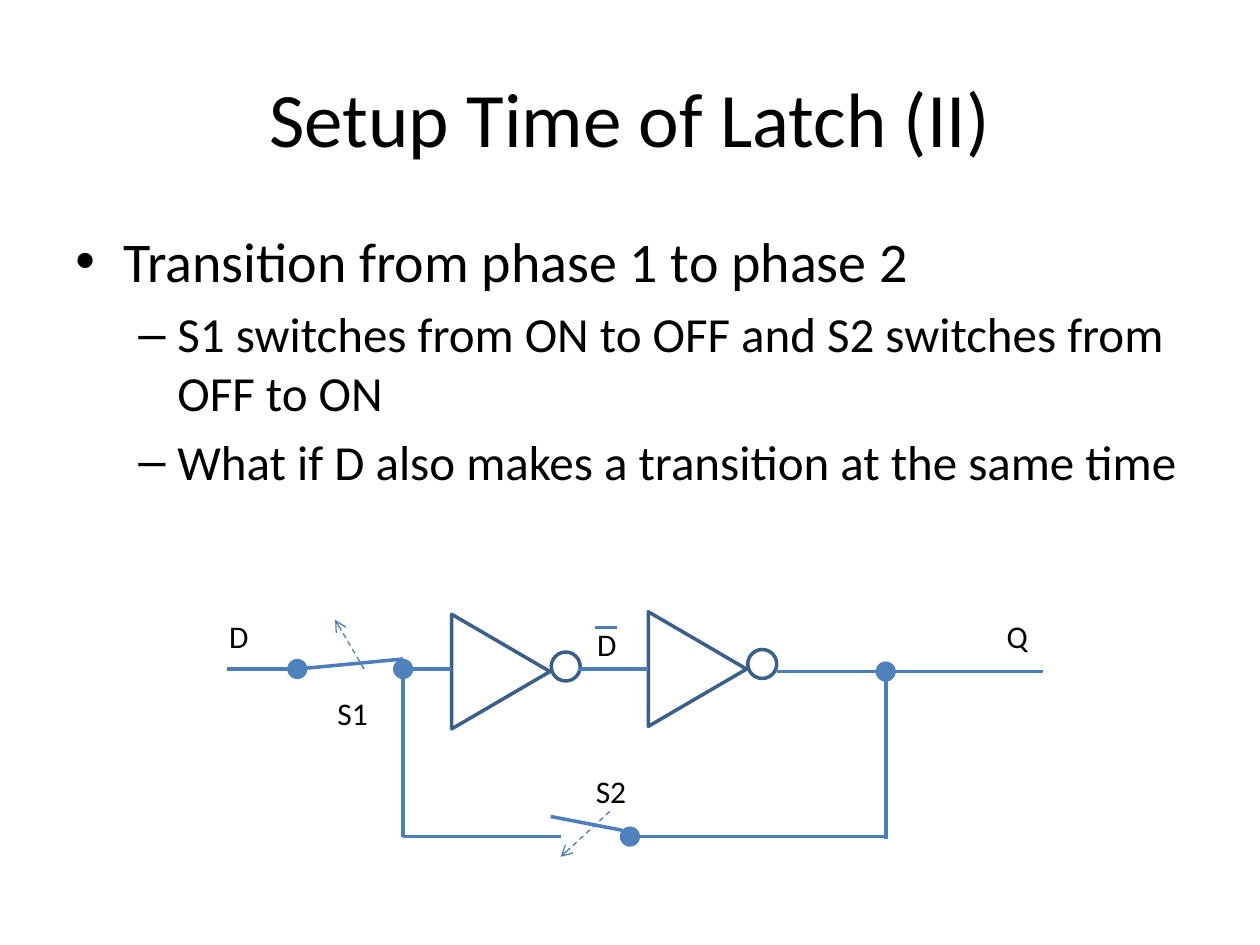
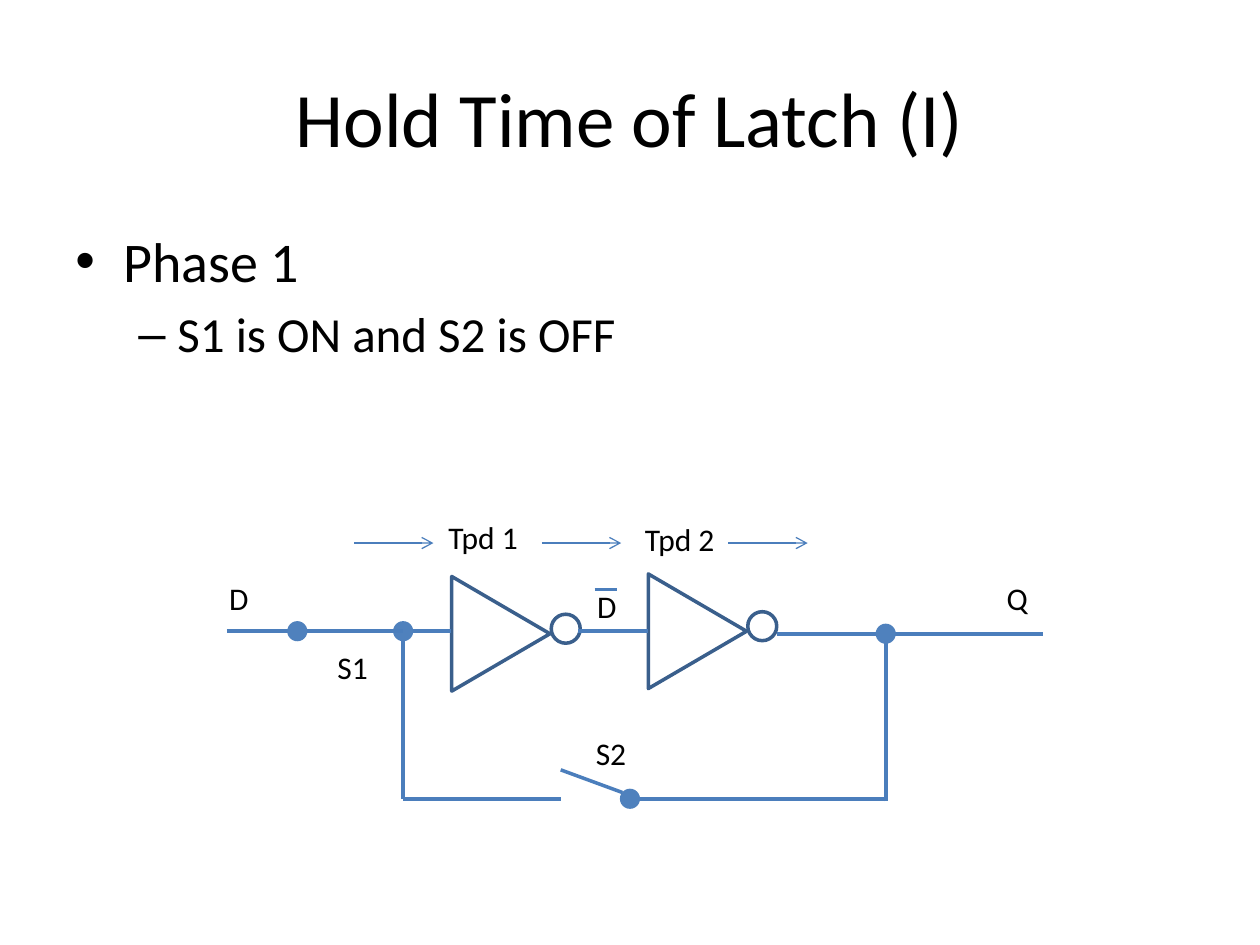
"""Build two slides on latch timing."""
import pptx
import pptx.dml.color
import pptx.enum.dml
import pptx.enum.shapes
import pptx.enum.text
import pptx.oxml
import pptx.oxml.ns
import pptx.util

Inches = pptx.util.Inches
Pt = pptx.util.Pt
RGBColor = pptx.dml.color.RGBColor
Shape = pptx.enum.shapes.MSO_SHAPE
Anchor = pptx.enum.text.MSO_ANCHOR

BLACK = RGBColor(0x00, 0x00, 0x00)
WIRE = RGBColor(0x4B, 0x7E, 0xBC)
GATE = RGBColor(0x3A, 0x5F, 0x8C)
NODE = RGBColor(0x4F, 0x81, 0xBD)
FONT = "Calibri"
LEVELS = [(32, "•", 0.38, 0.38), (28, "–", 0.81, 0.31)]
THIN, THICK = 0.75, 2
DOT = 0.16


def add_run(para, text, size):
    """Add one run in the shared font."""
    run = para.add_run()
    run.text = text
    run.font.name = FONT
    run.font.size = Pt(size)
    run.font.color.rgb = BLACK


def add_node(parent, tag, **attrs):
    """Append an empty drawing element with the given attributes."""
    node = pptx.oxml.parse_xml(f"<a:{tag} {pptx.oxml.ns.nsdecls('a')}/>")
    for key, value in attrs.items():
        node.set(key, str(value))
    parent.append(node)


def add_title(slide, text):
    """Place and fill the title."""
    title = slide.shapes.title
    title.left, title.top = Inches(0.5), Inches(0.3)
    title.width, title.height = Inches(9), Inches(1.25)
    frame = title.text_frame
    frame.vertical_anchor = Anchor.MIDDLE
    para = frame.paragraphs[0]
    para.alignment = pptx.enum.text.PP_ALIGN.CENTER
    add_run(para, text, 44)


def add_body(slide, items):
    """Add the bullet list from pairs of level and text."""
    box = slide.shapes.add_textbox(Inches(0.5), Inches(1.75), Inches(9), Inches(4.95))
    frame = box.text_frame
    frame.word_wrap = True
    for index, (level, text) in enumerate(items):
        para = frame.add_paragraph() if index else frame.paragraphs[0]
        size, mark, left, hang = LEVELS[level]
        para.level = level
        para.space_before = Pt(size * 0.2)
        props = para._p.get_or_add_pPr()
        props.set("marL", str(Inches(left)))
        props.set("indent", str(-Inches(hang)))
        add_node(props, "buFont", typeface="Arial")
        add_node(props, "buChar", char=mark)
        add_run(para, text, size)


def add_wire(group, start, end, width=THICK, arrow=False, dashed=False):
    """Draw a straight line, with an arrowhead or dashes on request."""
    wire = group.shapes.add_connector(
        pptx.enum.shapes.MSO_CONNECTOR.STRAIGHT,
        *(Inches(value) for value in (*start, *end)))
    wire.line.color.rgb = WIRE
    wire.line.width = Pt(width)
    if dashed:
        wire.line.dash_style = pptx.enum.dml.MSO_LINE.DASH
    if arrow:
        add_node(wire.line._get_or_add_ln(), "tailEnd", type="arrow")
    add_node(wire._element.spPr, "effectLst")


def add_form(group, kind, left, top, width, height):
    """Add a bare preset shape."""
    form = group.shapes.add_shape(
        kind, Inches(left), Inches(top), Inches(width), Inches(height))
    form.shadow.inherit = False
    return form


def add_gate(group, left, top):
    """Draw an inverter: a triangle and its bubble."""
    body = add_form(group, Shape.ISOSCELES_TRIANGLE, left, top, 0.91, 0.78)
    body.rotation = 90
    ring = add_form(group, Shape.OVAL, left + 0.855, top + 0.235, 0.23, 0.23)
    for form in (body, ring):
        form.fill.background()
        form.line.color.rgb = GATE
        form.line.width = Pt(THICK)


def add_dot(group, mid_x, mid_y):
    """Draw a solid junction around a point."""
    dot = add_form(group, Shape.OVAL, mid_x - DOT / 2, mid_y - DOT / 2, DOT, DOT)
    dot.fill.solid()
    dot.fill.fore_color.rgb = NODE
    dot.line.fill.background()


def add_label(group, text, left, top, width=0.45):
    """Add a short label."""
    box = group.shapes.add_textbox(
        Inches(left), Inches(top), Inches(width), Inches(0.4))
    box.text_frame.word_wrap = False
    add_run(box.text_frame.paragraphs[0], text, 18)


def add_latch(slide, rail, name_drop):
    """Draw the latch around its input rail and return its group."""
    group = slide.shapes.add_group_shape()
    out, loop = rail + 0.02, rail + 1.33
    add_gate(group, 3.52, rail - 0.37)
    add_gate(group, 5.08, rail - 0.39)
    for start, end in [
        ((1.8, rail), (2.34, rail)),
        ((3.2, rail), (3.58, rail)),
        ((4.59, rail), (5.14, rail)),
        ((6.17, out), (8.28, out)),
        ((7.03, loop + 0.02), (7.03, out)),
        ((5, loop), (7.03, loop)),
        ((3.2, loop), (4.45, loop)),
        ((3.2, loop), (3.2, rail)),
        ((4.72, rail - 0.33), (4.9, rail - 0.33)),
    ]:
        add_wire(group, start, end)
    for spot in [(2.36, rail), (3.2, rail), (5, loop), (7.03, out)]:
        add_dot(group, *spot)
    add_label(group, "D", 1.72, rail - 0.46, 0.36)
    add_label(group, "Q", 7.89, rail - 0.46, 0.37)
    add_label(group, "S1", 2.58, rail + name_drop)
    add_label(group, "S2", 4.63, rail + 0.77)
    add_label(group, "D", 4.64, rail - 0.4, 0.36)
    return group


def add_slide(deck, title, items):
    """Start a slide with its title and bullets."""
    slide = deck.slides.add_slide(deck.slide_layouts[5])
    add_title(slide, title)
    add_body(slide, items)
    return slide


def add_setup(deck):
    """Build the setup time slide, with both switches in motion."""
    slide = add_slide(deck, "Setup Time of Latch (II)", [
        (0, "Transition from phase 1 to phase 2"),
        (1, "S1 switches from ON to OFF and S2 switches from OFF to ON"),
        (1, "What if D also makes a transition at the same time"),
    ])
    latch = add_latch(slide, 5.31, 0.15)
    add_wire(latch, (2.36, 5.31), (3.2, 5.23))
    add_wire(latch, (4.37, 6.48), (4.94, 6.59))
    for start, end in [((2.89, 5.31), (2.66, 4.92)), ((4.84, 6.44), (4.45, 6.8))]:
        add_wire(latch, start, end, THIN, arrow=True, dashed=True)


def add_hold(deck):
    """Build the hold time slide, with the delay through each gate."""
    slide = add_slide(deck, "Hold Time of Latch (I)", [
        (0, "Phase 1"),
        (1, "S1 is ON and S2 is OFF"),
    ])
    latch = add_latch(slide, 5.01, 0.08)
    add_wire(latch, (2.44, 5.01), (3.2, 5.01))
    add_wire(latch, (4.45, 6.11), (4.94, 6.29))
    delays = slide.shapes.add_group_shape()
    for left in (2.81, 4.3, 5.78):
        add_wire(delays, (left, 4.31), (left + 0.63, 4.31), THIN, arrow=True)
    add_label(delays, "Tpd 1", 3.46, 4.06, 0.76)
    add_label(delays, "Tpd 2", 5.02, 4.08, 0.76)


def main():
    """Build and save the deck."""
    deck = pptx.Presentation()
    deck.slide_width, deck.slide_height = Inches(10), Inches(7.5)
    add_setup(deck)
    add_hold(deck)
    deck.save("out.pptx")


if __name__ == "__main__":
    main()
